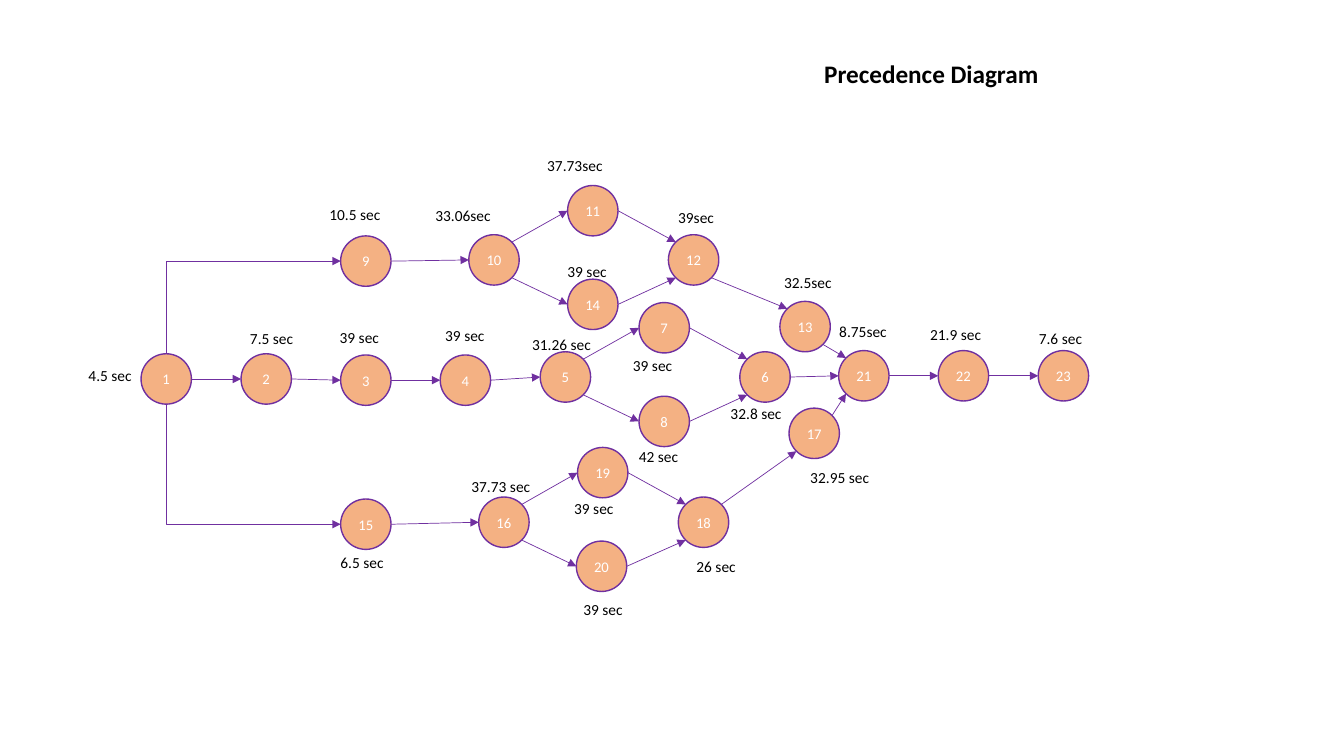
"""Build the precedence diagram slide."""
from dataclasses import dataclass
from enum import IntEnum
from math import cos, radians, sin

from lxml import etree
from pptx import Presentation
from pptx import util as u
from pptx.dml.color import RGBColor
from pptx.enum import shapes, text
from pptx.oxml import ns


@dataclass(frozen=True)
class Theme:
    font: str = "Calibri"
    ink: RGBColor = RGBColor(0x00, 0x00, 0x00)
    node_fill: RGBColor = RGBColor(0xF4, 0xB1, 0x83)
    node_text: RGBColor = RGBColor(0xFF, 0xFF, 0xFF)
    outline: RGBColor = RGBColor(0x70, 0x30, 0xA0)
    title_size: u.Pt = u.Pt(18)
    time_size: u.Pt = u.Pt(11)
    node_size: u.Pt = u.Pt(10.5)
    node_line: u.Pt = u.Pt(1)
    arrow_line: u.Pt = u.Pt(0.5)


class Site(IntEnum):
    TOP = 0
    TOP_LEFT = 1
    LEFT = 2
    BOTTOM_LEFT = 3
    BOTTOM = 4
    BOTTOM_RIGHT = 5
    RIGHT = 6
    TOP_RIGHT = 7


@dataclass(frozen=True)
class Task:
    number: int
    x: float
    y: float
    time: str
    time_left: float
    time_top: float
    time_width: float = 2.72


@dataclass(frozen=True)
class Arrow:
    start: int
    end: int
    leave: Site = Site.RIGHT
    enter: Site = Site.LEFT


THEME = Theme()
DIAMETER = 1.27
TASKS = [
    Task(1, 4.19, 9.55, "4.5 sec", 1.98, 9.09, 2.34),
    Task(2, 6.71, 9.55, "7.5 sec", 6.05, 8.18, 2.49),
    Task(3, 9.22, 9.58, "39 sec", 8.31, 8.15),
    Task(4, 11.73, 9.58, "39 sec", 10.97, 8.1),
    Task(5, 14.25, 9.5, "31.26 sec", 13.16, 8.33),
    Task(6, 19.28, 9.5, "32.8 sec", 18.16, 10.06),
    Task(7, 16.74, 8.26, "39 sec", 15.7, 8.84),
    Task(8, 16.74, 10.62, "42 sec", 15.85, 11.13),
    Task(9, 9.22, 6.58, "10.5 sec", 8.05, 5.05),
    Task(10, 12.45, 6.55, "33.06sec", 10.72, 5.08, 2.31),
    Task(11, 14.94, 5.31, "37.73sec", 13.54, 3.81, 2.31),
    Task(12, 17.48, 6.55, "39sec", 16.84, 5.11, 2.31),
    Task(13, 20.29, 8.23, "32.5sec", 19.51, 6.76, 2.31),
    Task(14, 14.94, 7.67, "39 sec", 14.05, 6.48),
    Task(15, 9.22, 13.21, "6.5 sec", 8.33, 13.82, 2.41),
    Task(16, 12.7, 13.16, "37.73 sec", 11.63, 11.89),
    Task(17, 20.52, 10.92, "32.95 sec", 20.17, 11.68),
    Task(18, 17.73, 13.16, "26 sec", 17.3, 13.92),
    Task(19, 15.19, 11.91, "39 sec", 14.22, 12.45),
    Task(20, 15.16, 14.27, "39 sec", 14.45, 14.99),
    Task(21, 21.77, 9.47, "8.75sec", 20.9, 8, 2.31),
    Task(22, 24.28, 9.47, "21.9 sec", 23.19, 8.08),
    Task(23, 26.8, 9.47, "7.6 sec", 25.93, 8.18),
]
LEVEL_PAIRS = [(1, 2), (2, 3), (3, 4), (4, 5), (6, 21), (21, 22), (22, 23), (9, 10), (15, 16)]
DIAMONDS = [(5, 7, 8, 6), (10, 11, 14, 12), (16, 19, 20, 18)]
MERGES = [
    Arrow(12, 13, Site.BOTTOM_RIGHT, Site.TOP_LEFT),
    Arrow(13, 21, Site.BOTTOM_RIGHT, Site.TOP_LEFT),
    Arrow(18, 17, Site.TOP_RIGHT, Site.BOTTOM_LEFT),
    Arrow(17, 21, Site.TOP_RIGHT, Site.BOTTOM_LEFT),
]
BRANCHES = [Arrow(1, 9, Site.TOP), Arrow(1, 15, Site.BOTTOM)]


def diamond_arrows(first: int, upper: int, lower: int, last: int) -> list[Arrow]:
    """Return the four arrows that split and rejoin around a diamond."""
    return [
        Arrow(first, upper, Site.TOP_RIGHT),
        Arrow(upper, last, enter=Site.TOP_LEFT),
        Arrow(first, lower, Site.BOTTOM_RIGHT),
        Arrow(lower, last, enter=Site.BOTTOM_LEFT),
    ]


def set_text(box, words: str, size: u.Pt, color: RGBColor, bold: bool = False):
    """Write one styled paragraph and return it."""
    para = box.text_frame.paragraphs[0]
    para.text = words
    para.font.name, para.font.size, para.font.bold = THEME.font, size, bold
    para.font.color.rgb = color
    return para


def add_label(page, words: str, left: float, top: float, width: float, height: float,
              size: u.Pt, bold: bool = False) -> None:
    """Add a left-aligned text box."""
    box = page.shapes.add_textbox(u.Cm(left), u.Cm(top), u.Cm(width), u.Cm(height))
    box.text_frame.word_wrap = True
    box.text_frame.auto_size = text.MSO_AUTO_SIZE.SHAPE_TO_FIT_TEXT
    set_text(box, words, size, THEME.ink, bold)


def add_task(page, task: Task):
    """Add a numbered circle and return it."""
    circle = page.shapes.add_shape(
        shapes.MSO_SHAPE.FLOWCHART_CONNECTOR, u.Cm(task.x - DIAMETER / 2),
        u.Cm(task.y - DIAMETER / 2), u.Cm(DIAMETER), u.Cm(DIAMETER))
    circle.name = f"Task {task.number}"
    circle.shadow.inherit = False
    circle.fill.solid()
    circle.fill.fore_color.rgb = THEME.node_fill
    circle.line.color.rgb, circle.line.width = THEME.outline, THEME.node_line
    frame = circle.text_frame
    frame.margin_left = frame.margin_right = u.Cm(0)
    frame.vertical_anchor = text.MSO_ANCHOR.MIDDLE
    para = set_text(circle, str(task.number), THEME.node_size, THEME.node_text)
    para.alignment = text.PP_ALIGN.CENTER
    return circle


def site_point(task: Task, site: Site) -> tuple[float, float]:
    """Return where a connection site lies on a circle."""
    angle = radians(90 + 45 * site)
    return task.x + DIAMETER / 2 * cos(angle), task.y - DIAMETER / 2 * sin(angle)


def add_arrow(page, arrow: Arrow, tasks: dict[int, Task], circles: dict) -> None:
    """Connect two circles, with an elbow when leaving vertically."""
    x1, y1 = site_point(tasks[arrow.start], arrow.leave)
    x2, y2 = site_point(tasks[arrow.end], arrow.enter)
    bent = arrow.leave in (Site.TOP, Site.BOTTOM)
    kind = shapes.MSO_CONNECTOR.ELBOW if bent else shapes.MSO_CONNECTOR.STRAIGHT
    if bent:
        rise = y2 - y1
        middle_x, middle_y = (x1 + x2) / 2, (y1 + y2) / 2
        half_width, half_height = abs(rise) / 2, (x2 - x1) / 2
        slope = 1 if rise < 0 else -1
        x1, x2 = middle_x + half_width, middle_x - half_width
        y1, y2 = middle_y + slope * half_height, middle_y - slope * half_height
    line = page.shapes.add_connector(kind, u.Cm(x1), u.Cm(y1), u.Cm(x2), u.Cm(y2))
    line.line.color.rgb, line.line.width = THEME.outline, THEME.arrow_line
    properties = line._element.spPr
    if bent:
        quarter_turns = 1 if rise < 0 else 3
        properties.find(ns.qn("a:xfrm")).set("rot", str(quarter_turns * 5400000))
        properties.find(ns.qn("a:prstGeom")).set("prst", "bentConnector2")
    etree.SubElement(properties.find(ns.qn("a:ln")), ns.qn("a:tailEnd"), type="triangle")
    etree.SubElement(properties, ns.qn("a:effectLst"))
    links = line._element.find(".//" + ns.qn("p:cNvCxnSpPr"))
    for tag, number, site in (("a:stCxn", arrow.start, arrow.leave),
                              ("a:endCxn", arrow.end, arrow.enter)):
        etree.SubElement(links, ns.qn(tag), id=str(circles[number].shape_id), idx=str(int(site)))


def main() -> None:
    """Create and save the deck."""
    deck = Presentation()
    deck.slide_width, deck.slide_height = u.Cm(33.87), u.Cm(19.05)
    page = deck.slides.add_slide(deck.slide_layouts[6])
    tasks = {task.number: task for task in TASKS}
    circles = {task.number: add_task(page, task) for task in TASKS}
    arrows = [Arrow(*pair) for pair in LEVEL_PAIRS] + MERGES + BRANCHES
    for diamond in DIAMONDS:
        arrows += diamond_arrows(*diamond)
    for arrow in arrows:
        add_arrow(page, arrow, tasks, circles)
    for task in TASKS:
        add_label(page, task.time, task.time_left, task.time_top, task.time_width, 0.73,
                  THEME.time_size)
    add_label(page, "Precedence Diagram", 20.52, 1.35, 10.97, 1.02, THEME.title_size, bold=True)
    deck.save("out.pptx")


if __name__ == "__main__":
    main()
